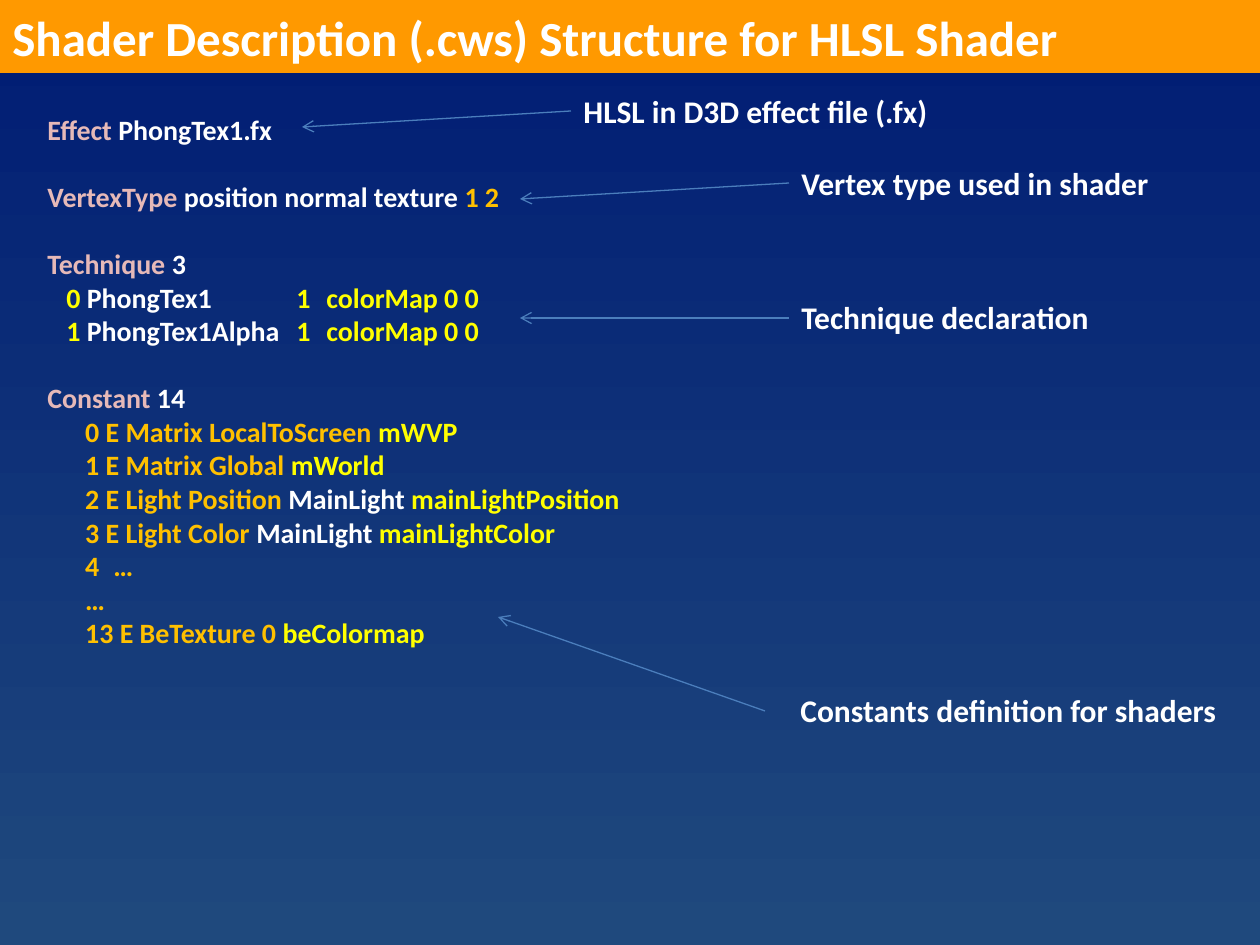
import lxml.etree
import pptx
import pptx.dml.color
import pptx.enum.shapes
import pptx.enum.text
import pptx.oxml.ns
import pptx.util

PX = 914400 / 126
COLORS = {
    "top": "001C74", "bottom": "1F497D", "bar": "FF9900", "arrow": "4B7EBC",
    "white": "FFFFFF", "pink": "E6B9B8", "gold": "FFC000", "yellow": "FFFF00",
}
qn = pptx.oxml.ns.qn


def px(*values):
    """Turn pixel lengths into a list of EMU lengths."""
    return [pptx.util.Emu(round(v * PX)) for v in values]


def add_text(p, text, size=16, color="white"):
    r = p.add_run()
    r.text = text
    r.font.name = "Calibri"
    r.font.size = pptx.util.Pt(size)
    r.font.bold = True
    r.font.color.rgb = pptx.dml.color.RGBColor.from_string(COLORS[color])


prs = pptx.Presentation()
prs.slide_width, prs.slide_height = px(1260, 945)
s = prs.slides.add_slide(prs.slide_layouts[6])

# Background, dark blue at the top
fill = s.background.fill
fill.gradient()
fill.gradient_angle = 270
for stop, name, position in zip(fill.gradient_stops, ("top", "bottom"), (0, 1)):
    stop.color.rgb = pptx.dml.color.RGBColor.from_string(COLORS[name])
    stop.position = position

# Title bar
bar = s.shapes.add_shape(pptx.enum.shapes.MSO_SHAPE.RECTANGLE, *px(0, 0, 1260, 73))
bar.shadow.inherit = False
bar.fill.solid()
bar.fill.fore_color.rgb = pptx.dml.color.RGBColor.from_string(COLORS["bar"])
bar.line.fill.background()
tf = bar.text_frame
tf.vertical_anchor = pptx.enum.text.MSO_ANCHOR.MIDDLE
tf.paragraphs[0].alignment = pptx.enum.text.PP_ALIGN.LEFT
add_text(tf.paragraphs[0], "Shader Description (.cws) Structure for HLSL Shader", size=28)

# Shader description file: blocks of lines, each line a list of (colour, text)
blocks = [
    [[("pink", "Effect "), ("white", "PhongTex1.fx")]],
    [[("pink", "VertexType "), ("white", "position normal texture "), ("gold", "1 2")]],
    [
        [("pink", "Technique "), ("white", "3")],
        [("yellow", "   0 "), ("white", "PhongTex1"), ("yellow", "\t1\tcolorMap 0 0")],
        [("yellow", "   1 "), ("white", "PhongTex1Alpha"), ("yellow", "\t1\tcolorMap 0 0")],
    ],
    [
        [("pink", "Constant "), ("white", "14")],
        [("gold", "      0 E Matrix LocalToScreen "), ("yellow", "mWVP")],
        [("gold", "      1 E Matrix Global "), ("yellow", "mWorld")],
        [("gold", "      2 E Light Position "), ("white", "MainLight "),
         ("yellow", "mainLightPosition")],
        [("gold", "      3 E Light Color "), ("white", "MainLight "),
         ("yellow", "mainLightColor")],
        [("gold", "      4\t…")],
        [("gold", "      …")],
        [("gold", "      13 E BeTexture 0 "), ("yellow", "beColormap")],
    ],
]
TECHNIQUE_TABS = (249, 279)
CONSTANT_TABS = (66,)

tf = s.shapes.add_textbox(*px(35, 106, 621, 556)).text_frame
tf.word_wrap = True
p = None
for block in blocks:
    for row, line in enumerate(block):
        first = p is None
        p = tf.paragraphs[0] if first else tf.add_paragraph()
        if row == 0 and not first:
            p.space_before = pptx.util.Pt(19.2)
        tab_count = sum(text.count("\t") for _, text in line)
        if tab_count:
            tabs = lxml.etree.SubElement(p._p.get_or_add_pPr(), qn("a:tabLst"))
            for stop in px(*(TECHNIQUE_TABS if tab_count == 2 else CONSTANT_TABS)):
                lxml.etree.SubElement(tabs, qn("a:tab"), pos=str(stop), algn="l")
        for color, text in line:
            add_text(p, text, color=color)

# Annotations: label, its left, top and width, then arrow start and end
annotations = [
    ("HLSL in D3D effect file (.fx)", (571, 86, 374), (571, 111, 302, 127)),
    ("Vertex type used in shader", (789, 158, 375), (789, 183, 520, 199)),
    ("Technique declaration", (789, 292, 315), (789, 318, 520, 318)),
    ("Constants definition for shaders", (788, 685, 445), (765, 711, 498, 617)),
]
for label, place, ends in annotations:
    group = s.shapes.add_group_shape()
    tf = group.shapes.add_textbox(*px(*place, 50)).text_frame
    tf.word_wrap = False
    tf.auto_size = pptx.enum.text.MSO_AUTO_SIZE.SHAPE_TO_FIT_TEXT
    add_text(tf.paragraphs[0], label, size=18)

    arrow = group.shapes.add_connector(
        pptx.enum.shapes.MSO_CONNECTOR.STRAIGHT, *px(*ends))
    arrow.line.color.rgb = pptx.dml.color.RGBColor.from_string(COLORS["arrow"])
    arrow.line.width = pptx.util.Pt(0.75)
    lxml.etree.SubElement(arrow.line._get_or_add_ln(), qn("a:tailEnd"), type="arrow")
    lxml.etree.SubElement(arrow._element.spPr, qn("a:effectLst"))

prs.save("out.pptx")
